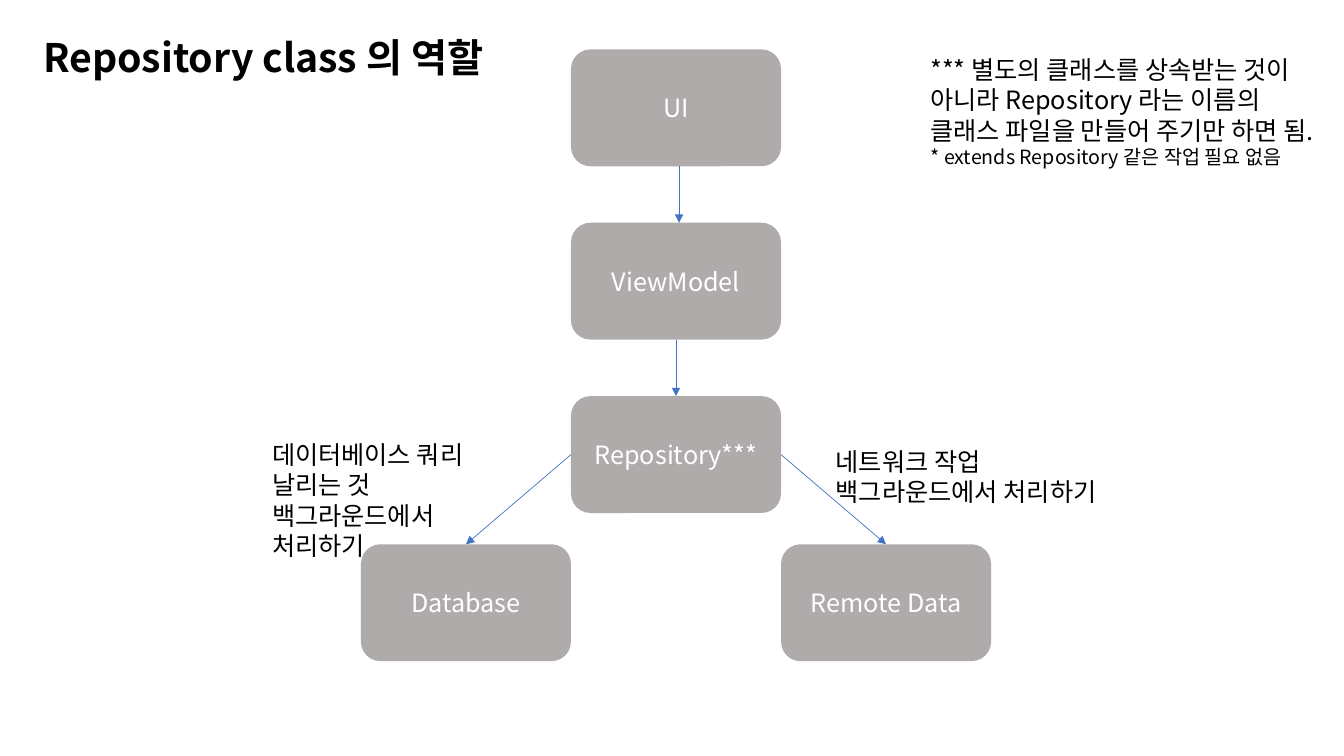
from lxml import etree
from pptx import Presentation
from pptx.dml.color import RGBColor
from pptx.enum.shapes import MSO_CONNECTOR as Link, MSO_SHAPE as Preset
from pptx.enum.text import MSO_ANCHOR as Anchor, MSO_AUTO_SIZE as Fit, PP_ALIGN as Align
from pptx.oxml.ns import qn
from pptx.util import Inches, Pt

FONT = "Noto Sans CJK KR"
BLACK, WHITE, GREY, BLUE = "000000", "FFFFFF", "AFABAB", "4472C4"
TOP, BOTTOM, LEFT, RIGHT = 0, 2, 1, 3  # connection sites of a rounded box


def colour(code):
    return RGBColor.from_string(code)


def write(frame, lines, ink=BLACK, bold=False, align=Align.LEFT, anchor=Anchor.TOP, wrap=True):
    """Fill a text frame with (text, size) lines, one paragraph each."""
    frame.text = "\n".join(text for text, size in lines)
    frame.word_wrap, frame.auto_size, frame.vertical_anchor = wrap, Fit.NONE, anchor
    for para, (text, size) in zip(frame.paragraphs, lines):
        para.alignment = align
        para.line_spacing = Pt(size * 1.2)
        for span in para.runs:
            font = span.font
            font.name, font.size, font.bold = FONT, Pt(size), bold
            font.color.rgb = colour(ink)
            east = etree.SubElement(font._element, qn("a:ea"))
            east.set("typeface", FONT)


def add_title(page, box, text):
    title = page.shapes.title
    title.left, title.top, title.width, title.height = map(Inches, box)
    write(title.text_frame, [(text, 28)], bold=True, wrap=False)


def add_note(page, box, lines):
    note = page.shapes.add_textbox(*map(Inches, box))
    write(note.text_frame, lines)


def add_arrow(page, start, start_site, end, end_site, shift=0):
    """Join two boxes; a shifted arrow runs beside the connection sites."""
    arrow = page.shapes.add_connector(Link.STRAIGHT, 0, 0, 0, 0)
    arrow.begin_connect(start, start_site)
    arrow.end_connect(end, end_site)
    if shift:
        ends = [arrow.begin_x + shift, arrow.begin_y, arrow.end_x + shift, arrow.end_y]
        arrow._element.getparent().remove(arrow._element)
        arrow = page.shapes.add_connector(Link.STRAIGHT, *ends)
    arrow.line.color.rgb = colour(BLUE)
    arrow.line.width = Pt(0.5)
    etree.SubElement(arrow.line._get_or_add_ln(), qn("a:tailEnd")).set("type", "triangle")
    etree.SubElement(arrow._element.spPr, qn("a:effectLst"))


def add_layers(page, box):
    """Draw the layer tree on a grid of three columns inside the box."""
    left, top, width, height = box
    column, row, box_height = width / 3, 1.72, 1.16
    last = height - box_height
    places = {
        "UI": (1, 0),
        "ViewModel": (1, row),
        "Repository***": (1, 2 * row),
        "Database": (0, last),
        "Remote Data": (2, last),
    }
    layers = []
    for name, (place, drop) in places.items():
        layer = page.shapes.add_shape(
            Preset.ROUNDED_RECTANGLE, Inches(left + place * column), Inches(top + drop),
            Inches(column), Inches(box_height))
        layer.shadow.inherit = False
        layer.fill.solid()
        layer.fill.fore_color.rgb = colour(GREY)
        layer.line.fill.background()
        write(layer.text_frame, [(name, 18)], WHITE, align=Align.CENTER, anchor=Anchor.MIDDLE)
        layers.append(layer)

    # Calls run down the stack, then out to both data sources
    screen, model, repository, database, remote = layers
    add_arrow(page, repository, LEFT, database, TOP)
    add_arrow(page, repository, RIGHT, remote, TOP)
    add_arrow(page, model, BOTTOM, repository, TOP)
    add_arrow(page, screen, BOTTOM, model, TOP, shift=Inches(0.03))


deck = Presentation()
deck.slide_width, deck.slide_height = Inches(13.33), Inches(7.5)
page = deck.slides.add_slide(deck.slide_layouts.get_by_name("Title Only"))

# Title and layer tree
add_title(page, (0.33, 0.28, 4.68, 0.57), "Repository class 의 역할")
add_layers(page, (3.58, 0.49, 6.25, 6.07))

# Remarks beside the tree
add_note(page, (8.19, 4.38, 2.97, 0.71), [("네트워크 작업 백그라운드에서 처리하기", 18)])
add_note(page, (2.6, 4.31, 2.57, 1.01), [("데이터베이스 쿼리 날리는 것 백그라운드에서 처리하기", 18)])
add_note(page, (9.13, 0.49, 3.99, 1.55), [
    ("*** 별도의 클래스를 상속받는 것이 아니라 Repository 라는 이름의 클래스 파일을 만들어 주기만 하면 됨.", 18),
    ("* extends Repository 같은 작업 필요 없음", 14),
])

deck.save("out.pptx")
